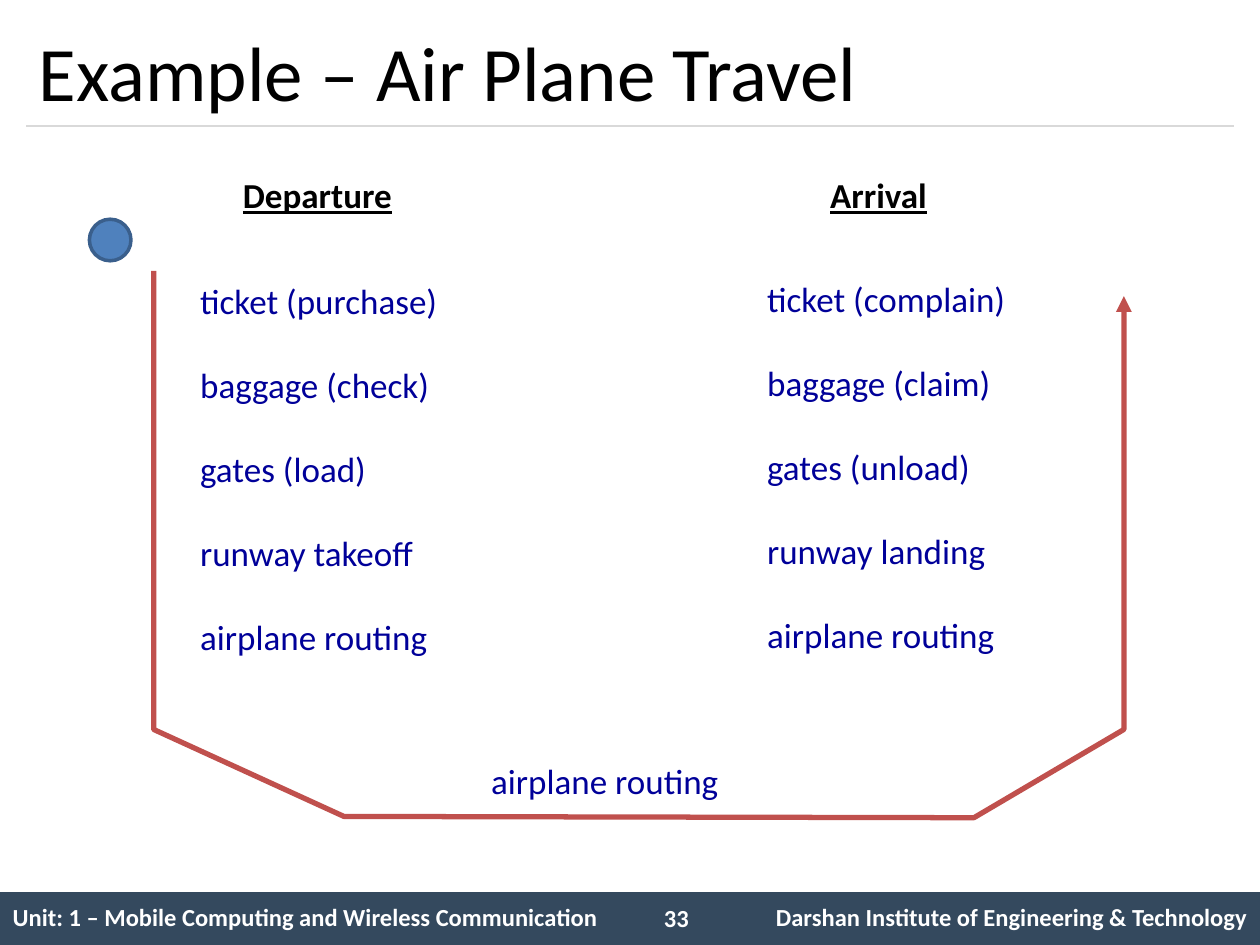
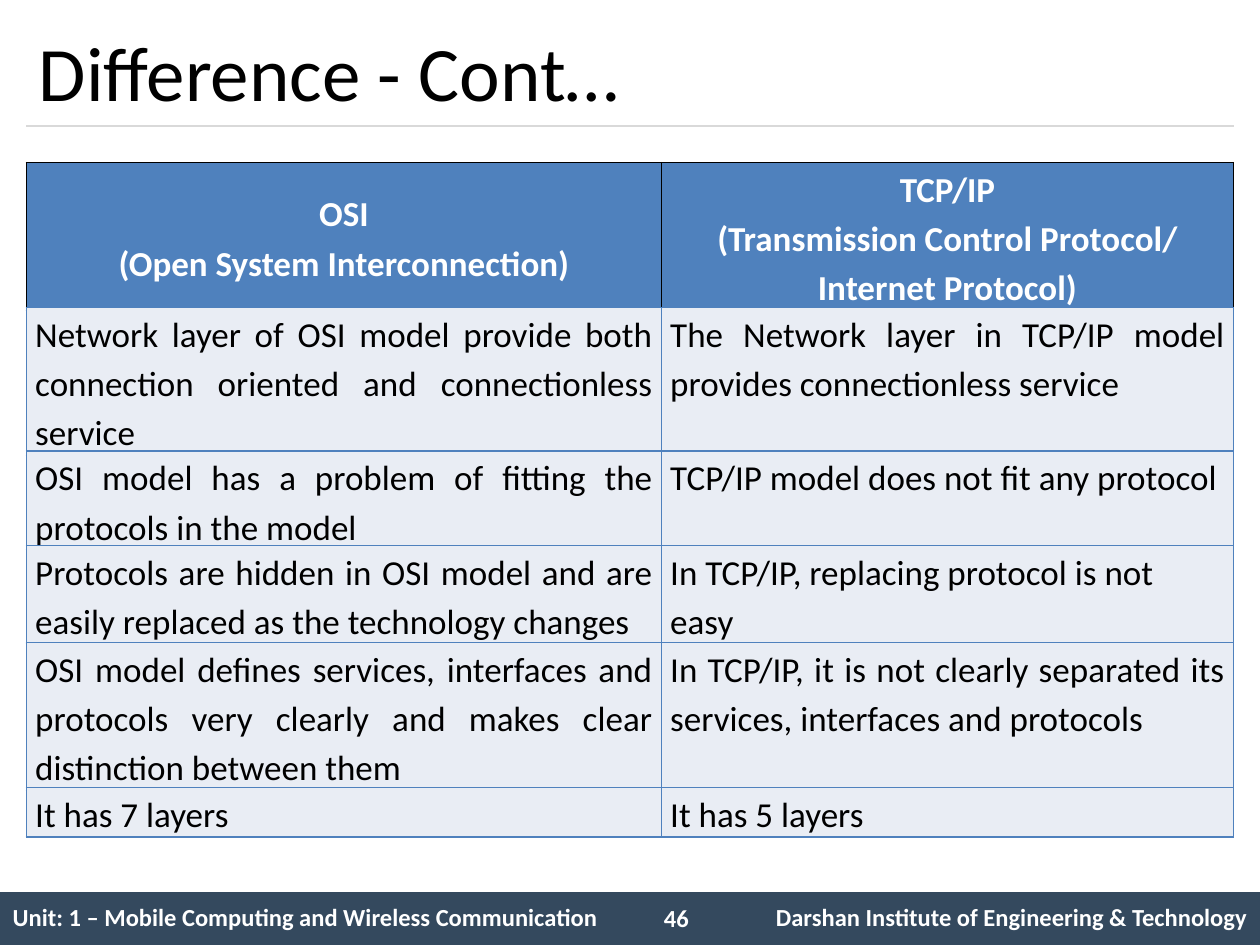
from dataclasses import dataclass

from lxml.etree import SubElement
from pptx import Presentation
from pptx.dml.color import RGBColor
from pptx.enum.shapes import MSO_CONNECTOR, MSO_SHAPE
from pptx.enum.text import MSO_ANCHOR, MSO_AUTO_SIZE, PP_ALIGN
from pptx.oxml.ns import qn
from pptx.util import Inches, Pt

UNIT = Inches(0.1)
COLUMNS, ROWS = 100, 75


@dataclass(frozen=True)
class Theme:
    font: str = "Calibri"
    white: str = "FFFFFF"
    black: str = "000000"
    band: str = "34495E"
    rule: str = "D9D9D9"
    step: str = "000099"
    route: str = "C0504D"
    accent: str = "4F81BD"
    accent_dark: str = "3A5F8C"
    cell: str = "E9EDF4"
    title_size: int = 44
    body_size: int = 20
    footer_size: int = 14


@dataclass(frozen=True)
class Box:
    left: float
    top: float
    width: float
    height: float

    def inside(self, column, row, columns, rows):
        return Box(self.left + column, self.top + row, columns, rows)

    def lengths(self):
        return [round(value * UNIT) for value in (self.left, self.top, self.width, self.height)]


THEME = Theme()
PAGE = Box(0, 0, COLUMNS, ROWS)
TITLE = PAGE.inside(2.1, 1.2, 95.8, 8.8)
TRAVEL = PAGE.inside(7.1, 13.3, 82.1, 51.6)
COMPARISON = PAGE.inside(2.1, 12.9, 95.8, 53.4)
FOOTER = PAGE.inside(0, 70.8, COLUMNS, 4.2)

TITLE_TEXT = {"size": Pt(THEME.title_size)}
BODY_TEXT = {"size": Pt(THEME.body_size)}
HEADER_TEXT = BODY_TEXT | {"bold": True}
HEADING_TEXT = HEADER_TEXT | {"underline": True}
FOOTER_TEXT = {"size": Pt(THEME.footer_size), "bold": True}

DEPARTURE = ["ticket (purchase)", "baggage (check)", "gates (load)", "runway takeoff", "airplane routing"]
ARRIVAL = ["ticket (complain)", "baggage (claim)", "gates (unload)", "runway landing", "airplane routing"]
ROUTE = [(5.1, 8.2), (5.1, 44.6), (20.2, 51.5), (70.2, 51.6), (82.1, 44.6), (82.1, 10.2)]

HEADERS = (["OSI", "(Open System Interconnection)"],
           ["TCP/IP", "(Transmission Control Protocol/ Internet Protocol)"])
JUSTIFIED, LEFT = PP_ALIGN.JUSTIFY, PP_ALIGN.LEFT
DIFFERENCES = [
    (11.5, 11.5, JUSTIFIED, JUSTIFIED,
     "Network layer of OSI model provide both connection oriented and connectionless service",
     "The Network layer in TCP/IP model provides connectionless service"),
    (22.9, 7.7, JUSTIFIED, LEFT,
     "OSI model has a problem of fitting the protocols in the model",
     "TCP/IP model does not fit any protocol"),
    (30.4, 7.7, JUSTIFIED, LEFT,
     "Protocols are hidden in OSI model and are easily replaced as the technology changes",
     "In TCP/IP, replacing protocol is not easy"),
    (38.1, 11.5, JUSTIFIED, JUSTIFIED,
     "OSI model defines services, interfaces and protocols very clearly and makes clear distinction between them",
     "In TCP/IP, it is not clearly separated its services, interfaces and protocols"),
    (49.6, 3.8, LEFT, LEFT, "It has 7 layers", "It has 5 layers"),
]


def color(value):
    return RGBColor.from_string(value)


def assign(target, values):
    for name, value in values.items():
        setattr(target, name, value)


def write(frame, lines, font, ink, layout=None, gap=0):
    for index, line in enumerate(lines):
        para = frame.paragraphs[0] if index == 0 else frame.add_paragraph()
        assign(para, layout or {})
        if index and gap:
            para.space_before = Pt(gap)
        span = para.add_run()
        span.text = line
        assign(span.font, {"name": THEME.font} | font)
        span.font.color.rgb = color(ink)


def add_text(page, box, lines, font, ink, wrap=False, anchor=MSO_ANCHOR.TOP, gap=0):
    frame = page.shapes.add_textbox(*box.lengths()).text_frame
    fit = MSO_AUTO_SIZE.NONE if wrap else MSO_AUTO_SIZE.SHAPE_TO_FIT_TEXT
    assign(frame, {"word_wrap": wrap, "auto_size": fit, "vertical_anchor": anchor})
    write(frame, lines, font, ink, gap=gap)


def outline(shape, ink, width):
    shape.line.color.rgb = color(ink)
    shape.line.width = Pt(width)


def add_shape(page, kind, box, fill):
    shape = page.shapes.add_shape(kind, *box.lengths())
    shape.shadow.inherit = False
    shape.fill.solid()
    shape.fill.fore_color.rgb = color(fill)
    return shape


def add_row(page, box, widths):
    table = page.shapes.add_table(1, len(widths), *box.lengths()).table
    assign(table, {"first_row": False, "horz_banding": False})
    for column, width in zip(table.columns, widths):
        column.width = round(width * UNIT)
    return [table.cell(0, index) for index in range(len(widths))]


def style_cell(cell, border=None, fill=None):
    properties = cell._tc.get_or_add_tcPr()
    for side in ("a:lnL", "a:lnR", "a:lnT", "a:lnB"):
        line = SubElement(properties, qn(side), w=str(Pt(1)))
        if border:
            SubElement(SubElement(line, qn("a:solidFill")), qn("a:srgbClr"), val=border)
        else:
            SubElement(line, qn("a:noFill"))
    if fill:
        cell.fill.solid()
        cell.fill.fore_color.rgb = color(fill)
    else:
        cell.fill.background()


def add_title(page, box, title):
    rule_top = round((box.top + box.height) * UNIT)
    rule = page.shapes.add_connector(
        MSO_CONNECTOR.STRAIGHT, round(box.left * UNIT), rule_top,
        round((box.left + box.width) * UNIT), rule_top)
    outline(rule, THEME.rule, 0.75)
    SubElement(rule._element.spPr, qn("a:effectLst"))
    add_text(page, box, [title], TITLE_TEXT, THEME.black, True, MSO_ANCHOR.MIDDLE)


def add_footer(page, box, number):
    band = add_shape(page, MSO_SHAPE.RECTANGLE, box, THEME.band)
    band.line.fill.background()
    texts = ["Unit: 1 – Mobile Computing and Wireless Communication", "",
             "Darshan Institute of Engineering & Technology"]
    aligns = [LEFT, LEFT, PP_ALIGN.RIGHT]
    cells = add_row(page, box, [50.8, 6.7, 42.5])
    for cell, text, align in zip(cells, texts, aligns):
        style_cell(cell)
        cell.vertical_anchor = MSO_ANCHOR.MIDDLE
        if text:
            write(cell.text_frame, [text], FOOTER_TEXT, THEME.white, {"alignment": align})
    add_text(page, box.inside(51.7, 0.4, 5.8, 3.4), [str(number)], FOOTER_TEXT, THEME.white, True)


def add_route(page, box):
    points = [(round((box.left + x) * UNIT), round((box.top + y) * UNIT)) for x, y in ROUTE]
    builder = page.shapes.build_freeform(*points[0])
    builder.add_line_segments(points[1:], close=False)
    route = builder.convert_to_shape()
    route.shadow.inherit = False
    route.fill.background()
    outline(route, THEME.route, 3)
    SubElement(route.line._get_or_add_ln(), qn("a:tailEnd"), type="triangle")


def add_travel(page, box):
    for place, steps in (((7.8, 8.4, 21.1, 31.3), DEPARTURE),
                         ((52.8, 8.2, 21.2, 31.3), ARRIVAL),
                         ((30.9, 46.5, 20.2, 4.4), ["airplane routing"])):
        add_text(page, box.inside(*place), steps, BODY_TEXT, THEME.step, gap=24)
    add_route(page, box)
    traveller = add_shape(page, MSO_SHAPE.OVAL, box.inside(0, 4.1, 3.3, 3.3), THEME.accent)
    outline(traveller, THEME.accent_dark, 2)
    for heading, column, width in (("Departure", 11.2, 14), ("Arrival", 57.8, 9.8)):
        add_text(page, box.inside(column, 0, width, 4.4), [heading], HEADING_TEXT, THEME.black)


def add_comparison_row(page, box, columns, font, ink, border, fill, anchor):
    cells = add_row(page, box, [50.4, 45.4])
    for cell, (lines, align) in zip(cells, columns):
        style_cell(cell, border, fill)
        assign(cell, {"margin_left": Inches(0.07), "margin_right": Inches(0.07),
                      "margin_top": 0, "margin_bottom": 0, "vertical_anchor": anchor})
        write(cell.text_frame, lines, font, ink, {"alignment": align, "line_spacing": 1.15})


def add_comparison(page, box):
    add_comparison_row(page, box.inside(0, 0, box.width, 11.5),
                       [(lines, PP_ALIGN.CENTER) for lines in HEADERS],
                       HEADER_TEXT, THEME.white, THEME.black, THEME.accent, MSO_ANCHOR.MIDDLE)
    for top, height, osi_align, tcp_align, osi, tcp in DIFFERENCES:
        add_comparison_row(page, box.inside(0, top, box.width, height),
                           [([osi], osi_align), ([tcp], tcp_align)],
                           BODY_TEXT, THEME.black, THEME.accent, THEME.cell, MSO_ANCHOR.TOP)


def add_page(deck, title, number, add_content, box):
    page = deck.slides.add_slide(deck.slide_layouts[6])
    page.background.fill.solid()
    page.background.fill.fore_color.rgb = color(THEME.white)
    add_footer(page, FOOTER, number)
    add_title(page, TITLE, title)
    add_content(page, box)


def main():
    deck = Presentation()
    assign(deck, {"slide_width": COLUMNS * UNIT, "slide_height": ROWS * UNIT})
    add_page(deck, "Example – Air Plane Travel", 33, add_travel, TRAVEL)
    add_page(deck, "Difference - Cont…", 46, add_comparison, COMPARISON)
    deck.save("out.pptx")


if __name__ == "__main__":
    main()
